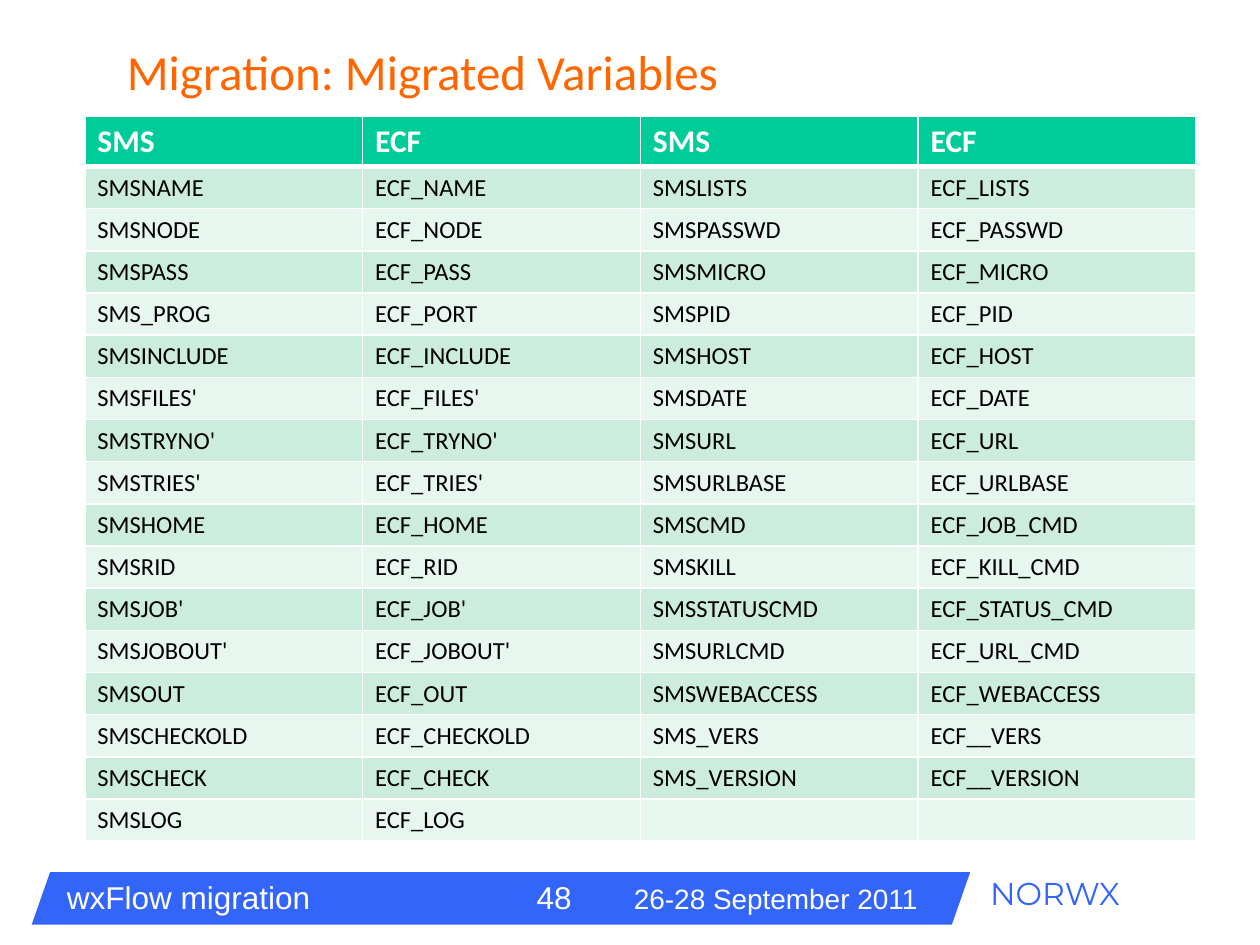
from lxml.etree import SubElement
from pptx import Presentation
from pptx.dml.color import RGBColor
from pptx.enum.shapes import MSO_SHAPE
from pptx.enum.text import MSO_ANCHOR
from pptx.oxml.ns import qn
from pptx.util import Cm, Pt

COLORS = {
    "white": "FFFFFF", "black": "000000", "title": "FF6600", "footer": "3365FB",
    "header": "00CC99", "band_dark": "CCECDE", "band_light": "E7F6EF",
}

HEADER = ["SMS", "ECF", "SMS", "ECF"]
VARIABLES = [
    ["SMSNAME", "ECF_NAME", "SMSLISTS", "ECF_LISTS"],
    ["SMSNODE", "ECF_NODE", "SMSPASSWD", "ECF_PASSWD"],
    ["SMSPASS", "ECF_PASS", "SMSMICRO", "ECF_MICRO"],
    ["SMS_PROG", "ECF_PORT", "SMSPID", "ECF_PID"],
    ["SMSINCLUDE", "ECF_INCLUDE", "SMSHOST", "ECF_HOST"],
    ["SMSFILES'", "ECF_FILES'", "SMSDATE", "ECF_DATE"],
    ["SMSTRYNO'", "ECF_TRYNO'", "SMSURL", "ECF_URL"],
    ["SMSTRIES'", "ECF_TRIES'", "SMSURLBASE", "ECF_URLBASE"],
    ["SMSHOME", "ECF_HOME", "SMSCMD", "ECF_JOB_CMD"],
    ["SMSRID", "ECF_RID", "SMSKILL", "ECF_KILL_CMD"],
    ["SMSJOB'", "ECF_JOB'", "SMSSTATUSCMD", "ECF_STATUS_CMD"],
    ["SMSJOBOUT'", "ECF_JOBOUT'", "SMSURLCMD", "ECF_URL_CMD"],
    ["SMSOUT", "ECF_OUT", "SMSWEBACCESS", "ECF_WEBACCESS"],
    ["SMSCHECKOLD", "ECF_CHECKOLD", "SMS_VERS", "ECF__VERS"],
    ["SMSCHECK", "ECF_CHECK", "SMS_VERSION", "ECF__VERSION"],
    ["SMSLOG", "ECF_LOG", "", ""],
]


def rgb(name):
    return RGBColor.from_string(COLORS[name])


def set_font(font, name, size, color, bold=False):
    font.name, font.size, font.bold = name, Pt(size), bold
    font.color.rgb = rgb(color)


def add_text(slide, box, text, name, size, color):
    sp = slide.shapes.add_textbox(*map(Cm, box))
    sp.text_frame.word_wrap = True
    p = sp.text_frame.paragraphs[0]
    p.text = text
    set_font(p.font, name, size, color)
    return sp


def set_borders(cell, bottom):
    tcPr = cell._tc.get_or_add_tcPr()
    for side, width in (("L", 1), ("R", 1), ("T", 1), ("B", bottom)):
        ln = SubElement(tcPr, qn(f"a:ln{side}"), w=str(Pt(width)))
        fill = SubElement(ln, qn("a:solidFill"))
        SubElement(fill, qn("a:srgbClr"), val=COLORS["white"])


def add_footer(slide, left, top, width, height):
    # Slanted band
    sp = slide.shapes.add_shape(
        MSO_SHAPE.PARALLELOGRAM, Cm(left), Cm(top), Cm(width), Cm(height))
    sp.adjustments[0] = 0.35
    sp.shadow.inherit = False
    sp.fill.solid()
    sp.fill.fore_color.rgb = rgb("footer")
    sp.line.fill.background()

    # Course name, page number and date on tab stops
    sp = add_text(slide, (left + 0.46, top, width - 1.2, height),
                  "wxFlow migration\t48\t", "Arial", 18, "white")
    p = sp.text_frame.paragraphs[0]
    r = p.add_run()
    r.text = "26-28 September 2011"
    r.font.size = Pt(16)
    tabs = SubElement(p._p.get_or_add_pPr(), qn("a:tabLst"))
    p._p.pPr.insert(0, tabs)
    for pos in (9.47, 11.43):
        SubElement(tabs, qn("a:tab"), pos=str(Cm(pos)), algn="l")

    # Organisation name
    add_text(slide, (left + width + 0.15, top - 0.08, 3.7, 1.27),
             "NORWX", "Montserrat", 18, "footer")


def add_title(slide, left, top, width, height):
    sp = add_text(slide, (left, top, width, height),
                  "Migration: Migrated Variables", "Calibri", 28, "title")
    sp.fill.solid()
    sp.fill.fore_color.rgb = rgb("white")
    sp.text_frame.vertical_anchor = MSO_ANCHOR.MIDDLE
    sp.text_frame.paragraphs[0].line_spacing = 0.91


def add_variables(slide, left, top, width, header_height, row_height):
    rows = [HEADER] + VARIABLES
    height = header_height + row_height * len(VARIABLES)
    table = slide.shapes.add_table(
        len(rows), len(HEADER), Cm(left), Cm(top), Cm(width), Cm(height)).table
    for i, texts in enumerate(rows):
        is_header = i == 0
        table.rows[i].height = Cm(header_height if is_header else row_height)
        fill = "header" if is_header else ("band_light", "band_dark")[i % 2]
        for cell, text in zip(table.rows[i].cells, texts):
            set_borders(cell, 3 if is_header else 1)
            cell.fill.solid()
            cell.fill.fore_color.rgb = rgb(fill)
            p = cell.text_frame.paragraphs[0]
            p.text = text
            if is_header:
                set_font(p.font, "Calibri", 18, "white", True)
            else:
                set_font(p.font, "Calibri", 14, "black")
            if not text:
                # Keeps an empty row as low as the others
                SubElement(p._p, qn("a:endParaRPr"), sz="1400")


prs = Presentation()
prs.slide_width, prs.slide_height = Cm(25.4), Cm(19.05)
slide = prs.slides.add_slide(prs.slide_layouts[6])
add_footer(slide, 0.64, 17.58, 18.92, 1.06)
add_title(slide, 2.31, 0.25, 21.59, 2.49)
add_variables(slide, 1.71, 2.34, 22.4, 1.01, 0.85)
prs.save("out.pptx")
